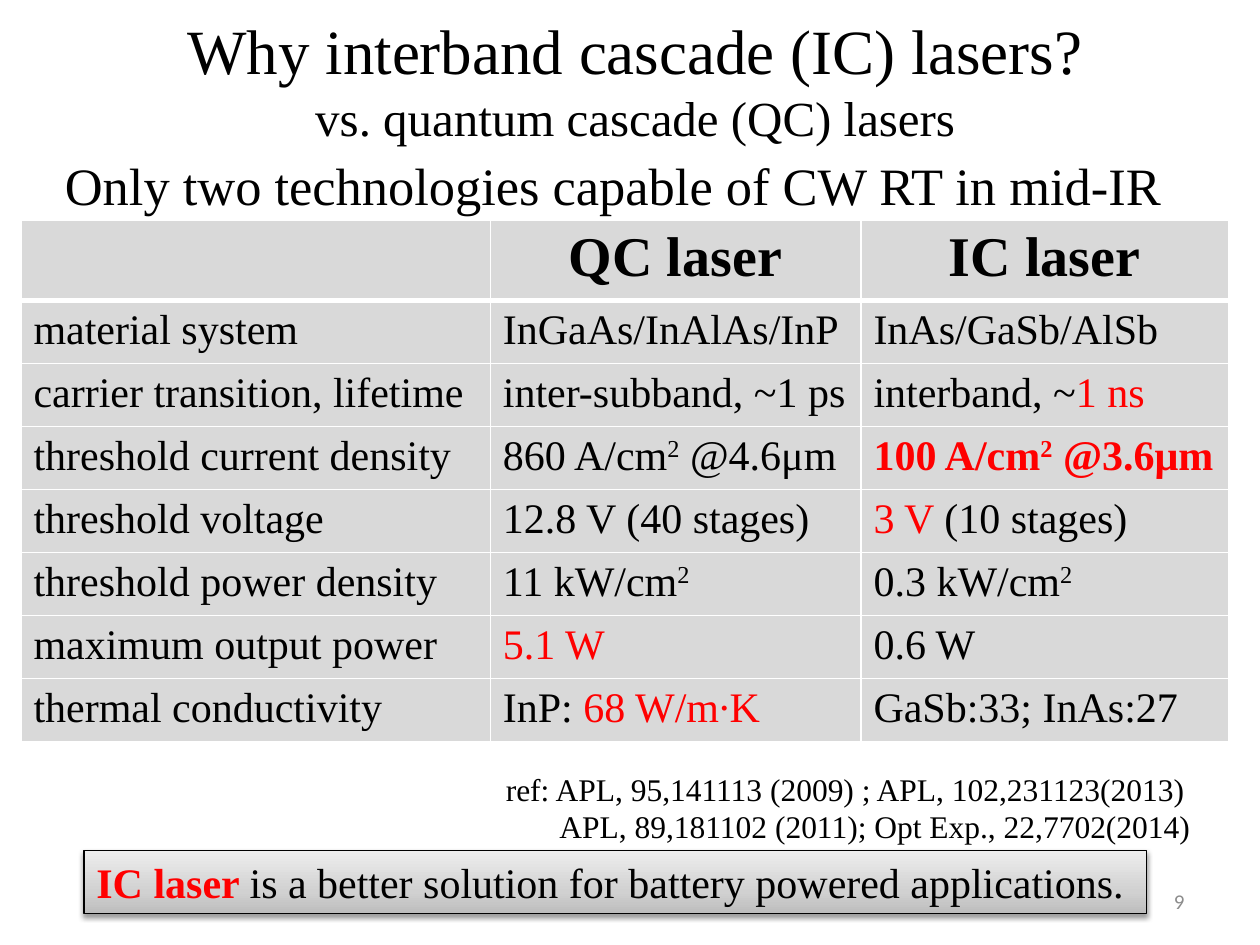
from dataclasses import dataclass, field

from lxml.etree import SubElement
from pptx import Presentation
from pptx.dml.color import RGBColor
from pptx.enum.shapes import MSO_SHAPE
from pptx.enum.text import MSO_ANCHOR, PP_ALIGN
from pptx.oxml import parse_xml
from pptx.oxml.ns import nsdecls, qn
from pptx.util import Inches, Pt

COLS, ROWS = 120, 90
UNIT = Inches(10) / COLS
BLACK, RED, GRAY, WHITE = "000000", "FF0000", "D9D9D9", "FFFFFF"


@dataclass
class Run:
    text: str
    color: str = BLACK
    bold: bool = False
    raised: bool = False
    size: float | None = None


@dataclass
class Block:
    """Lines of text in a box measured in grid units."""
    box: tuple[float, float, float, float]
    lines: list[list[Run]]
    size: float
    font: str = "Times New Roman"
    align: PP_ALIGN = PP_ALIGN.LEFT
    anchor: MSO_ANCHOR = MSO_ANCHOR.TOP
    wrap: bool = True
    indents: dict[int, float] = field(default_factory=dict)


def grid(n: float) -> int:
    return round(n * UNIT)


def rgb(color: str) -> RGBColor:
    return RGBColor.from_string(color)


def add_runs(p, runs: list[Run], size: float, font: str = "Times New Roman") -> None:
    for run in runs:
        r = p.add_run()
        r.text = run.text
        formats = {"name": font, "size": Pt(run.size or size), "bold": run.bold}
        for name, value in formats.items():
            setattr(r.font, name, value)
        r.font.color.rgb = rgb(run.color)
        if run.raised:
            r._r.get_or_add_rPr().set("baseline", "30000")


def write_block(sp, block: Block) -> None:
    tf = sp.text_frame
    tf.word_wrap = block.wrap
    tf.vertical_anchor = block.anchor
    for i, runs in enumerate(block.lines):
        p = tf.paragraphs[0] if i == 0 else tf.add_paragraph()
        p.alignment = block.align
        if i in block.indents:
            p._p.get_or_add_pPr().set("marL", str(grid(block.indents[i])))
        add_runs(p, runs, block.size, block.font)


def add_text(s, block: Block) -> None:
    write_block(s.shapes.add_textbox(*map(grid, block.box)), block)


def add_banner(s, block: Block) -> None:
    """Outlined rectangle with a three-stop gradient and a soft shadow."""
    sp = s.shapes.add_shape(MSO_SHAPE.RECTANGLE, *map(grid, block.box))
    sp.shadow.inherit = False
    sp.line.color.rgb = rgb(BLACK)
    sp.line.width = Pt(0.75)
    stops = "".join(
        f'<a:gs pos="{share * 1000}"><a:srgbClr val="{color}"/></a:gs>'
        for share, color in ((0, "BDBDBD"), (35, "D1D1D1"), (100, "EEEEEE")))
    sp._element.spPr.find(qn("a:prstGeom")).addnext(parse_xml(
        f'<a:gradFill {nsdecls("a")} rotWithShape="1"><a:gsLst>{stops}</a:gsLst>'
        '<a:lin ang="16200000" scaled="1"/></a:gradFill>'))
    sp._element.spPr.find(qn("a:effectLst")).append(parse_xml(
        f'<a:outerShdw {nsdecls("a")} blurRad="{Pt(3.1)}" dist="{Pt(1.6)}" dir="5400000" '
        f'rotWithShape="0"><a:srgbClr val="{BLACK}"><a:alpha val="38000"/></a:srgbClr>'
        '</a:outerShdw>'))
    write_block(sp, block)


def style_cell(cell, widths: dict[str, float]) -> None:
    tcPr = cell._tc.get_or_add_tcPr()
    for side, width in widths.items():
        ln = SubElement(tcPr, qn(f"a:ln{side}"), w=str(Pt(width)))
        SubElement(SubElement(ln, qn("a:solidFill")), qn("a:srgbClr"), val=WHITE)
    cell.fill.solid()
    cell.fill.fore_color.rgb = rgb(GRAY)


def add_comparison(s, rows: list[list[list[Run]]], left: float, top: float,
                   widths: list[float], heights: list[float]) -> None:
    table = s.shapes.add_table(len(rows), len(widths), grid(left), grid(top),
                               grid(sum(widths)), grid(sum(heights))).table
    table.first_row = table.horz_banding = False
    for column, width in zip(table.columns, widths):
        column.width = grid(width)
    for i, (row, height) in enumerate(zip(rows, heights)):
        table.rows[i].height = grid(height)
        borders = {"L": 1, "R": 1, "T": 3 if i == 1 else 1, "B": 3 if i == 0 else 1}
        for j, runs in enumerate(row):
            cell = table.cell(i, j)
            style_cell(cell, borders)
            p = cell.text_frame.paragraphs[0]
            p.alignment = PP_ALIGN.CENTER if i == 0 else PP_ALIGN.LEFT
            add_runs(p, runs, 32 if i == 0 else 24)


SQUARED = Run("2", raised=True)
COMPARISON = [
    [[], [Run("QC laser", bold=True)], [Run("IC laser", bold=True)]],
    [[Run("material system")], [Run("InGaAs/InAlAs/InP")], [Run("InAs/GaSb/AlSb")]],
    [[Run("carrier transition, lifetime")], [Run("inter-subband, ~1 ps")],
     [Run("interband, ~"), Run("1 ns", RED)]],
    [[Run("threshold current density")],
     [Run("860 A/cm"), SQUARED, Run(" @4.6μm")],
     [Run("100 A/cm", RED, True), Run("2", RED, True, True), Run(" @3.6μm", RED, True)]],
    [[Run("threshold voltage")], [Run("12.8 V (40 stages)")],
     [Run("3 V ", RED), Run("(10 stages)")]],
    [[Run("threshold power density")], [Run("11 kW/cm"), SQUARED],
     [Run("0.3 kW/cm"), SQUARED]],
    [[Run("maximum output power")], [Run("5.1 W", RED)], [Run("0.6 W")]],
    [[Run("thermal conductivity")], [Run("InP: "), Run("68 W/m∙K", RED)],
     [Run("GaSb:33; InAs:27")]],
]
SUBTITLE = Block((5, 14, 109, 8),
                 [[Run("Only two technologies capable of CW RT in mid-IR")]], 30)
PAGE_NUMBER = Block((86, 83.4, 28, 4.8), [[Run("9", "8C8C8C")]], 12, "Calibri",
                    PP_ALIGN.RIGHT, MSO_ANCHOR.MIDDLE)
CONCLUSION = Block((8, 81, 101.2, 6), [[
    Run("IC laser ", RED, True),
    Run("is a better solution for battery powered applications.")]],
    24, wrap=False)
REFERENCES = Block((47, 72.7, 67.7, 8.5), [
    [Run("ref: APL, 95,141113 (2009) ; APL, 102,231123(2013)")],
    [Run("APL, 89,181102 (2011); Opt Exp., 22,7702(2014)")]],
    18, wrap=False, indents={1: 5.1})
TITLE = Block((4, 1, 113, 13), [
    [Run("Why interband cascade (IC) lasers?")],
    [Run("vs. quantum cascade (QC) lasers", size=28)]],
    36, align=PP_ALIGN.CENTER, anchor=MSO_ANCHOR.MIDDLE)


def main() -> None:
    prs = Presentation()
    prs.slide_width, prs.slide_height = grid(COLS), grid(ROWS)
    s = prs.slides.add_slide(prs.slide_layouts[6])
    add_text(s, SUBTITLE)
    add_comparison(s, COMPARISON, 2, 21, [44.7, 35.3, 35],
                   [7.6, *[5.6] * 4, 6, *[5.6] * 2])
    add_text(s, PAGE_NUMBER)
    add_banner(s, CONCLUSION)
    add_text(s, REFERENCES)
    add_text(s, TITLE)
    prs.save("out.pptx")


if __name__ == "__main__":
    main()
